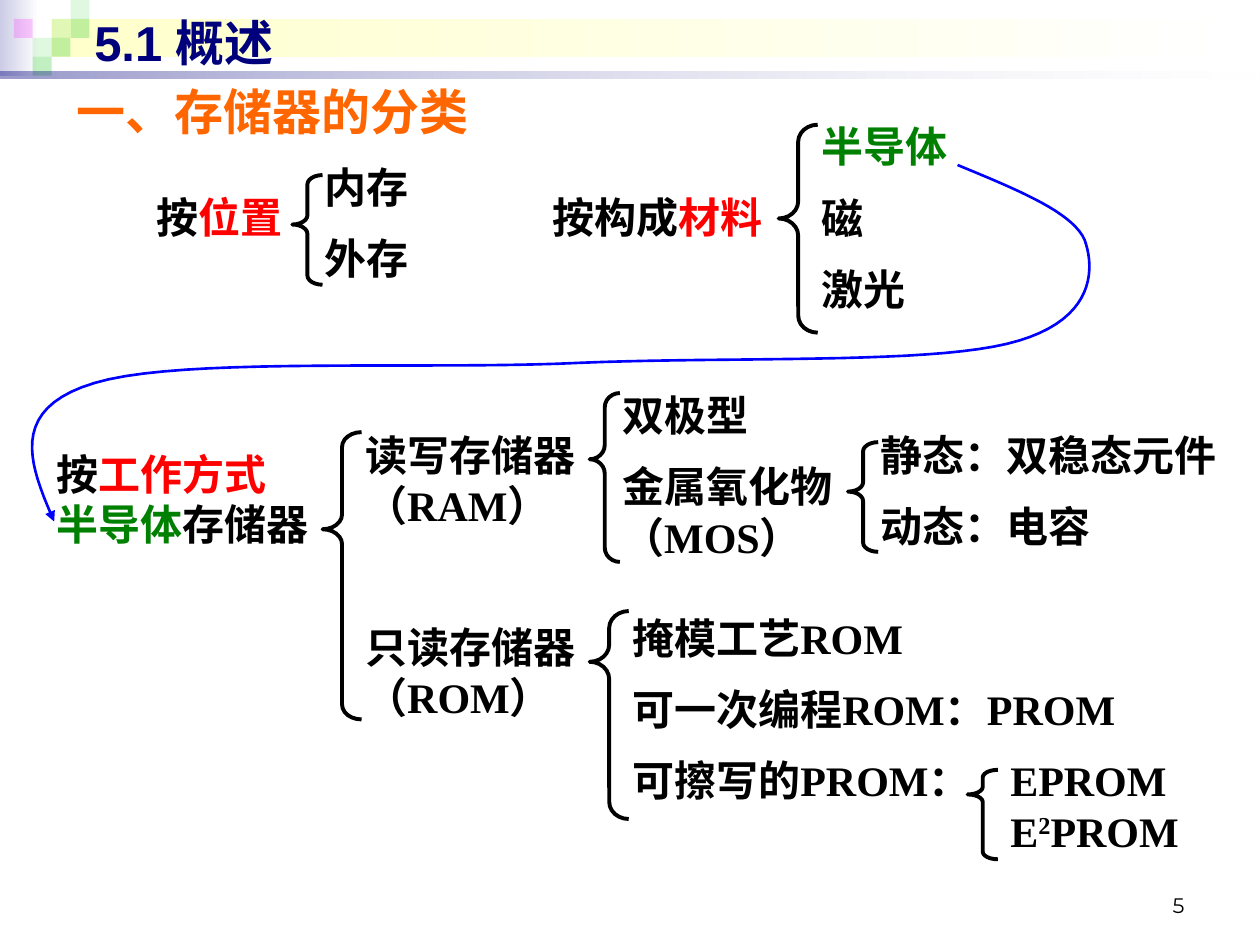
from pptx import Presentation
from pptx.dml.color import RGBColor
from pptx.enum.shapes import MSO_SHAPE
from pptx.enum.text import MSO_ANCHOR, PP_ALIGN
from pptx.oxml.ns import qn
from pptx.oxml.xmlchemy import OxmlElement
from pptx.util import Inches, Pt

RECTANGLE, LEFT_BRACE = MSO_SHAPE.RECTANGLE, MSO_SHAPE.LEFT_BRACE
LEFT, RIGHT = PP_ALIGN.LEFT, PP_ALIGN.RIGHT
TOP, MIDDLE, BOTTOM = MSO_ANCHOR.TOP, MSO_ANCHOR.MIDDLE, MSO_ANCHOR.BOTTOM

THEME = {
    "black": "000000", "red": "FF0000", "green": "008000", "orange": "FF6600",
    "navy": "00007D", "blue": "0000FF", "white": "FFFFFF", "lilac": "CCCCE6",
    "cream": "FFFFCC", "leaf": "33CC33", "magenta": "FF00FF",
    "serif": "Times New Roman", "sans": "Arial", "digits": "Montserrat",
    "heading": 28, "body": 24, "number": 12,
    "brace_line": 2.25, "arrow_line": 1.5, "gap": 12,
}

# Box, start colour, end colour, opacity of both ends in percent
BANDS = [
    ((0, 0, 0.31, 0.6), "lilac", "white", (100, 100)),
    ((0.41, 0.15, 9.55, 0.3), "cream", "white", (100, 100)),
    ((0, 0.57, 10, 0.05), "navy", "white", (40, 10)),
]
# Column, row, colour, opacity in percent
TILE, TILES_LEFT = 0.15, 0.11
TILES = [
    (2, 1, "leaf", 15), (3, 0, "leaf", 15), (3, 1, "leaf", 30),
    (1, 2, "leaf", 15), (0, 1, "magenta", 20), (2, 2, "leaf", 30),
    (1, 3, "leaf", 30),
]

# A paragraph is a string or a list of (text, colour) runs
HEADINGS = [
    (["5.1 概述"], (0.65, 0.05, 9, 0.57),
     {"font": "sans", "size": "heading", "color": "navy", "anchor": MIDDLE}),
    (["一、存储器的分类"], (0.51, 0.6, 9.22, 0.6),
     {"size": "heading", "color": "orange"}),
    (["5"], (7.17, 6.98, 2.33, 0.35),
     {"font": "digits", "size": "number", "bold": False,
      "align": RIGHT, "anchor": BOTTOM}),
]
CATEGORIES = [
    ([[("按", "black"), ("位置", "red")]], (1.14, 1.47, 1.5, 0.5), {}),
    (["内存", "外存"], (2.48, 1.23, 1.34, 1.1), {}),
    ([[("按构成", "black"), ("材料", "red")]], (4.29, 1.47, 2.28, 0.5), {}),
    ([[("半导体", "green")], "磁", "激光"], (6.42, 0.91, 1.34, 1.7), {}),
    ([[("按", "black"), ("工作方式", "red")],
      [("半导体", "green"), ("存储器", "black")]],
     (0.35, 3.51, 2.28, 0.9), {"gaps": [0, 0]}),
    (["读写存储器（RAM）", "只读存储器（ROM）"], (2.8, 3.36, 2.2, 2.5),
     {"gaps": [0, 52]}),
    (["双极型", "金属氧化物（MOS）"], (4.84, 3.04, 2.13, 1.5), {}),
    (["静态：双稳态元件", "动态：电容"], (6.89, 3.36, 2.99, 1.1), {}),
    (["掩模工艺ROM", "可一次编程ROM：PROM", "可擦写的PROM：\tEPROM",
      [("E", "black"), ("2", "black", "super"), ("PROM", "black")]],
     (4.92, 4.81, 4.8, 2.1),
     {"gaps": [0, 12, 12, 0], "indents": [0, 0, 0, 3]}),
]
# Box, curl of the ends, height of the point
BRACES = [
    ((2.32, 1.39, 0.24, 0.87), 0.306, 0.451),
    ((6.18, 0.99, 0.31, 1.65), 0.438, 0.451),
    ((2.56, 3.43, 0.31, 2.28), 0.381, 0.338),
    ((4.68, 3.12, 0.24, 1.34), 0.472, 0.392),
    ((6.73, 3.51, 0.24, 0.87), 0.306, 0.451),
    ((4.68, 4.85, 0.31, 1.65), 0.438, 0.244),
    ((7.68, 6.11, 0.24, 0.71), 0.25, 0.275),
]
# Start point, then two control points and an end point for each bend
ARROW_START = (7.6, 1.31)
ARROW_BENDS = [
    ((8.08, 1.51), (8.56, 1.7), (8.62, 1.94)),
    ((8.69, 2.18), (8.66, 2.57), (7.99, 2.73)),
    ((7.32, 2.89), (5.81, 2.83), (4.61, 2.88)),
    ((3.4, 2.94), (1.44, 2.83), (0.75, 3.04)),
    ((0.05, 3.25), (0.24, 3.7), (0.43, 4.14)),
]
BEND_STEPS = 20


def rgb(name):
    return RGBColor.from_string(THEME[name])


def add_box(slide, kind, box):
    shape = slide.shapes.add_shape(kind, *map(Inches, box))
    shape.shadow.inherit = False
    return shape


def set_opacity(shape, percents):
    """Give each fill colour of the shape, in order, its opacity."""
    colors = list(shape._element.spPr.iter(qn("a:srgbClr")))
    for color, percent in zip(colors, percents):
        alpha = OxmlElement("a:alpha")
        alpha.set("val", str(percent * 1000))
        color.append(alpha)


def add_band(slide, box, start, end, opacity):
    band = add_box(slide, RECTANGLE, box)
    band.line.fill.background()
    band.fill.gradient()
    band.fill.gradient_angle = 0
    for stop, color, position in zip(band.fill.gradient_stops, (start, end), (0, 1)):
        stop.color.rgb = rgb(color)
        stop.position = position
    set_opacity(band, opacity)


def add_tile(slide, column, row, color, opacity):
    tile = add_box(slide, RECTANGLE,
                   (TILES_LEFT + column * TILE, row * TILE, TILE, TILE))
    tile.line.fill.background()
    tile.fill.solid()
    tile.fill.fore_color.rgb = rgb(color)
    set_opacity(tile, [opacity])


def add_text(slide, paragraphs, box, *, font="serif", size="body", color="black",
             bold=True, align=LEFT, anchor=TOP, gaps=None, indents=None):
    frame = slide.shapes.add_textbox(*map(Inches, box)).text_frame
    frame.word_wrap = True
    frame.vertical_anchor = anchor
    gaps = gaps or [0] + [THEME["gap"]] * (len(paragraphs) - 1)
    indents = indents or [0] * len(paragraphs)
    for index, (content, gap, indent) in enumerate(zip(paragraphs, gaps, indents)):
        paragraph = frame.add_paragraph() if index else frame.paragraphs[0]
        paragraph.alignment = align
        paragraph.space_before = Pt(gap)
        if indent:
            paragraph._p.get_or_add_pPr().set("marL", str(Inches(indent)))
        runs = [(content, color)] if isinstance(content, str) else content
        for words, run_color, *raised in runs:
            run = paragraph.add_run()
            run.text = words
            run.font.name = THEME[font]
            run.font.size = Pt(THEME[size])
            run.font.bold = bold
            run.font.color.rgb = rgb(run_color)
            if raised:
                run._r.get_or_add_rPr().set("baseline", "30000")


def add_brace(slide, box, curl, point):
    brace = add_box(slide, LEFT_BRACE, box)
    brace.adjustments[0], brace.adjustments[1] = curl, point
    brace.fill.background()
    brace.line.color.rgb = rgb("black")
    brace.line.width = Pt(THEME["brace_line"])


def bend_points(start, first, second, end):
    """Points along a cubic Bézier curve, without its start."""
    for step in range(1, BEND_STEPS + 1):
        t = step / BEND_STEPS
        weights = ((1 - t) ** 3, 3 * t * (1 - t) ** 2, 3 * t * t * (1 - t), t ** 3)
        yield tuple(Inches(sum(w * p[axis] for w, p in
                               zip(weights, (start, first, second, end))))
                    for axis in (0, 1))


def add_curved_arrow(slide):
    builder = slide.shapes.build_freeform(*map(Inches, ARROW_START))
    start = ARROW_START
    for bend in ARROW_BENDS:
        builder.add_line_segments(list(bend_points(start, *bend)), close=False)
        start = bend[-1]
    arrow = builder.convert_to_shape()
    arrow.shadow.inherit = False
    arrow.fill.background()
    arrow.line.color.rgb = rgb("blue")
    arrow.line.width = Pt(THEME["arrow_line"])
    head = OxmlElement("a:tailEnd")
    head.set("type", "triangle")
    arrow.line._get_or_add_ln().append(head)


def main():
    deck = Presentation()
    deck.slide_width, deck.slide_height = Inches(10), Inches(7.5)
    slide = deck.slides.add_slide(deck.slide_layouts[6])
    for band in BANDS[:2]:
        add_band(slide, *band)
    for tile in TILES:
        add_tile(slide, *tile)
    add_band(slide, *BANDS[2])
    for paragraphs, box, style in HEADINGS + CATEGORIES:
        add_text(slide, paragraphs, box, **style)
    for brace in BRACES:
        add_brace(slide, *brace)
    add_curved_arrow(slide)
    deck.save("out.pptx")


if __name__ == "__main__":
    main()
